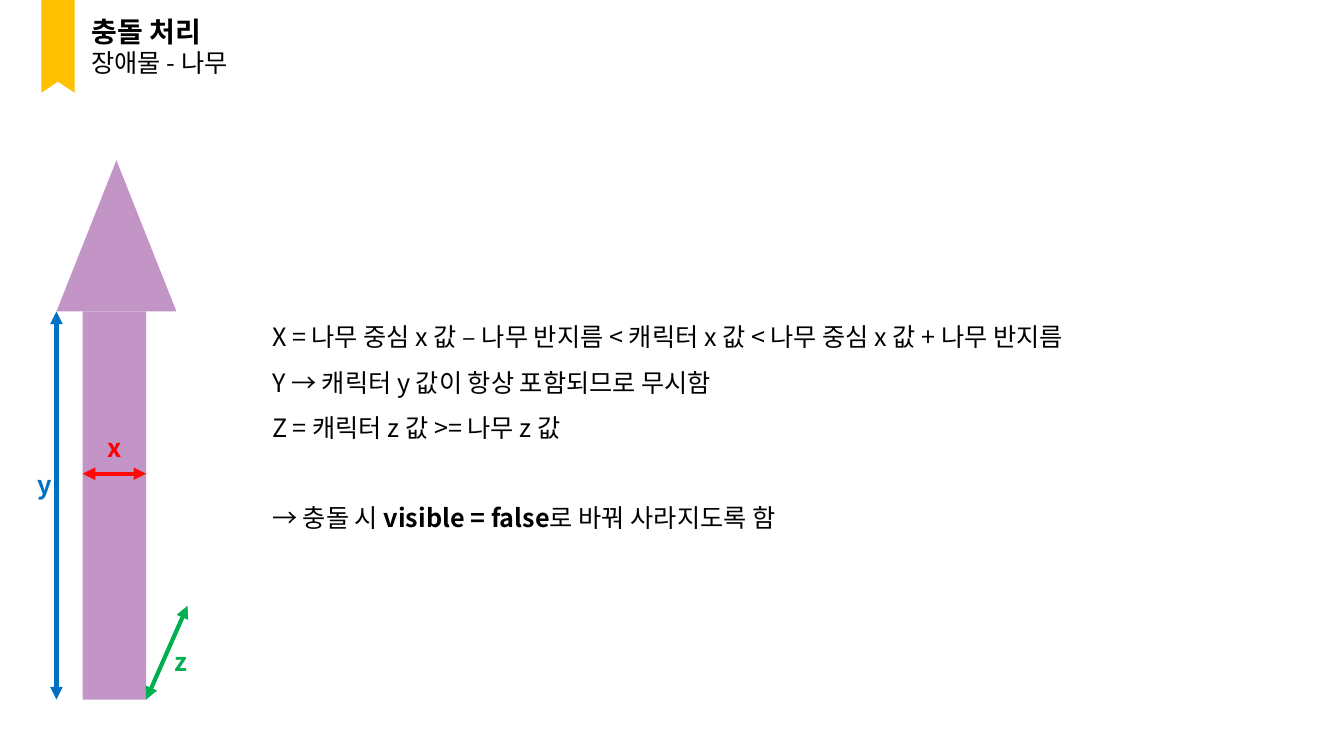
"""Build a slide that explains collision handling for a tree obstacle."""
from dataclasses import dataclass

from lxml import etree
from pptx import Presentation
from pptx.dml.color import RGBColor
from pptx.enum.shapes import MSO_CONNECTOR, MSO_SHAPE
from pptx.oxml.ns import qn
from pptx.util import Inches, Pt

STRAIGHT = MSO_CONNECTOR.STRAIGHT
RECTANGLE = MSO_SHAPE.RECTANGLE
TRIANGLE = MSO_SHAPE.ISOSCELES_TRIANGLE


@dataclass(frozen=True)
class Theme:
    font: str = "Noto Sans CJK KR"
    text: str = "000000"
    tree: str = "C395C7"
    ribbon: str = "FFC000"
    title_size: int = 20
    body_size: int = 18
    line_width: int = 3
    line_spacing: float = 1.5
    section_gap: int = 32


THEME = Theme()
SLIDE_WIDTH, SLIDE_HEIGHT = 13.33, 7.5

TITLE = "충돌 처리"
SUBTITLE = "장애물 - 나무"
RULES = [
    [("X = 나무 중심 x 값 – 나무 반지름 < 캐릭터 x 값 < 나무 중심 x 값 + 나무 반지름", False)],
    [("Y → 캐릭터 y 값이 항상 포함되므로 무시함", False)],
    [("Z = 캐릭터 z 값 >= 나무 z 값", False)],
]
RESULT = [("→ 충돌 시 ", False), ("visible = false", True), ("로 바꿔 사라지도록 함", False)]

TRUNK_LEFT, TRUNK_RIGHT = 0.82, 1.45
CROWN_LEFT, CROWN_WIDTH = 0.56, 1.19
CROWN_TOP, CROWN_BASE, GROUND = 1.59, 3.09, 6.94
RIBBON_LEFT, RIBBON_RIGHT = 0.41, 0.74
RIBBON_NOTCH, RIBBON_BOTTOM = 0.81, 0.92
LABEL_WIDTH, LABEL_HEIGHT = 0.42, 0.4

AXES = [
    ("x", "FF0909", "FF0000", (TRUNK_LEFT, 4.7), (TRUNK_RIGHT, 4.7), (0.97, 4.24)),
    ("y", "0070C0", "0070C0", (CROWN_LEFT, CROWN_BASE), (CROWN_LEFT, GROUND), (0.27, 4.61)),
    ("z", "00B050", "00B050", (TRUNK_RIGHT, GROUND), (1.86, 6.01), (1.63, 6.36)),
]


def paint(shape, color):
    shape.shadow.inherit = False
    shape.fill.solid()
    shape.fill.fore_color.rgb = RGBColor.from_string(color)
    shape.line.fill.background()


def add_block(slide, kind, left, top, width, height, color):
    shape = slide.shapes.add_shape(kind, *map(Inches, (left, top, width, height)))
    paint(shape, color)


def add_ribbon(slide):
    middle = (RIBBON_LEFT + RIBBON_RIGHT) / 2
    builder = slide.shapes.build_freeform(Inches(RIBBON_LEFT), 0, scale=1.0)
    outline = [(RIBBON_RIGHT, 0), (RIBBON_RIGHT, RIBBON_BOTTOM),
               (middle, RIBBON_NOTCH), (RIBBON_LEFT, RIBBON_BOTTOM)]
    builder.add_line_segments([(Inches(x), Inches(y)) for x, y in outline])
    paint(builder.convert_to_shape(), THEME.ribbon)


def add_double_arrow(slide, start, end, color):
    connector = slide.shapes.add_connector(STRAIGHT, *map(Inches, (*start, *end)))
    connector.line.color.rgb = RGBColor.from_string(color)
    connector.line.width = Pt(THEME.line_width)
    line = connector.line._get_or_add_ln()
    for tag in ("a:headEnd", "a:tailEnd"):
        etree.SubElement(line, qn(tag), type="triangle")
    etree.SubElement(connector._element.spPr, qn("a:effectLst"))


def style(paragraph, size, color, bold):
    font = paragraph.font
    font.size, font.bold, font.name = Pt(size), bold, THEME.font
    font.color.rgb = RGBColor.from_string(color)
    properties = paragraph._p.pPr.find(qn("a:defRPr"))
    etree.SubElement(properties, qn("a:ea"), typeface=THEME.font)


def add_text(slide, box, lines, wrap=True):
    """Add a text box; each line is (runs, size, color, bold)."""
    frame = slide.shapes.add_textbox(*map(Inches, box)).text_frame
    frame.word_wrap = wrap
    for index, (runs, size, color, bold) in enumerate(lines):
        paragraph = frame.add_paragraph() if index else frame.paragraphs[0]
        for text, emphasized in runs:
            run = paragraph.add_run()
            run.text = text
            if emphasized:
                run.font.bold = True
        style(paragraph, size, color, bold)
    return frame


def main():
    presentation = Presentation()
    presentation.slide_width = Inches(SLIDE_WIDTH)
    presentation.slide_height = Inches(SLIDE_HEIGHT)
    slide = presentation.slides.add_slide(presentation.slide_layouts[6])

    rules = add_text(slide, (2.6, 2.99, 9.6, 2.31),
                     [(runs, THEME.body_size, THEME.text, False) for runs in [*RULES, RESULT]])
    for paragraph in rules.paragraphs:
        paragraph.line_spacing = THEME.line_spacing
    rules.paragraphs[-1].space_before = Pt(THEME.section_gap)

    add_block(slide, RECTANGLE, TRUNK_LEFT, CROWN_BASE,
              TRUNK_RIGHT - TRUNK_LEFT, GROUND - CROWN_BASE, THEME.tree)
    add_block(slide, TRIANGLE, CROWN_LEFT, CROWN_TOP,
              CROWN_WIDTH, CROWN_BASE - CROWN_TOP, THEME.tree)
    for name, line_color, text_color, start, end, corner in AXES:
        add_double_arrow(slide, start, end, line_color)
        add_text(slide, (*corner, LABEL_WIDTH, LABEL_HEIGHT),
                 [([(name, False)], THEME.body_size, text_color, True)])

    add_ribbon(slide)
    add_text(slide, (0.81, 0.09, 1.75, 0.74), [
        ([(TITLE, False)], THEME.title_size, THEME.text, True),
        ([(SUBTITLE, False)], THEME.body_size, THEME.text, False),
    ], wrap=False)
    presentation.save("out.pptx")


if __name__ == "__main__":
    main()
